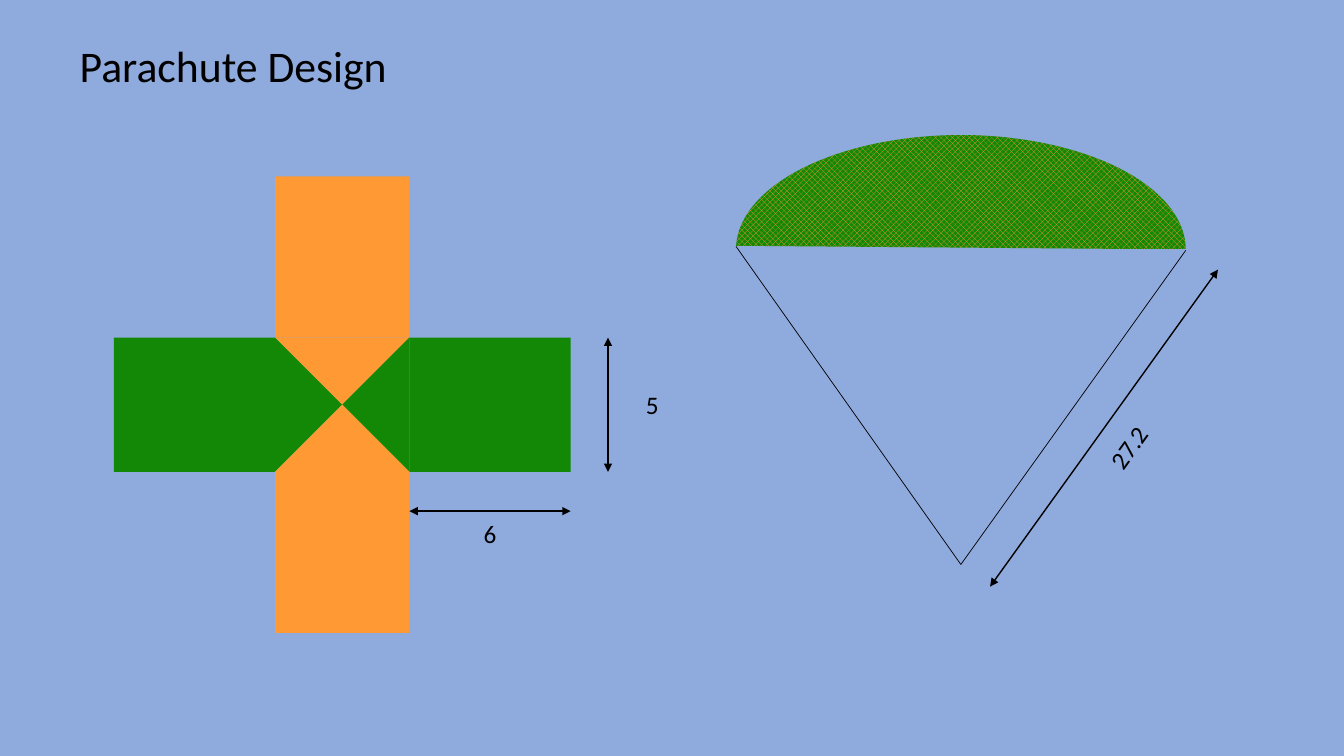
import pptx
import pptx.dml.color
import pptx.enum.dml
import pptx.enum.shapes
import pptx.enum.text
import pptx.oxml
import pptx.util

Inches = pptx.util.Inches
RGBColor = pptx.dml.color.RGBColor
MSO_SHAPE = pptx.enum.shapes.MSO_SHAPE
PP_ALIGN = pptx.enum.text.PP_ALIGN
MSO_ANCHOR = pptx.enum.text.MSO_ANCHOR

SKY = RGBColor(0x8F, 0xAA, 0xDC)
GREEN = RGBColor(0x12, 0x88, 0x06)
ORANGE = RGBColor(0xFE, 0x99, 0x33)
BLACK = RGBColor(0, 0, 0)
FONT = "Calibri"


def set_attrs(obj, fmt):
    """Set every attribute named in fmt on obj."""
    for name, value in fmt.items():
        setattr(obj, name, value)


def set_text(sp, text, size, frame_fmt, par_fmt):
    """Write one formatted paragraph into a shape."""
    tf = sp.text_frame
    set_attrs(tf, {"word_wrap": True, **frame_fmt})
    p = tf.paragraphs[0]
    set_attrs(p, par_fmt)
    r = p.add_run()
    r.text = text
    set_attrs(r.font, {"name": FONT, "size": pptx.util.Pt(size)})
    r.font.color.rgb = BLACK


def add_centred(shapes, kind, cx, cy, w, h, rotation=0):
    """Add an unlined preset shape around a centre point."""
    sp = shapes.add_shape(kind, Inches(cx - w / 2), Inches(cy - h / 2), Inches(w), Inches(h))
    sp.rotation = rotation
    sp.shadow.inherit = False
    sp.line.fill.background()
    return sp


def add_panel(shapes, kind, cx, cy, w, h, color, rotation=0):
    """Add a solid fabric panel."""
    sp = add_centred(shapes, kind, cx, cy, w, h, rotation)
    sp.fill.solid()
    sp.fill.fore_color.rgb = color


def add_line(shapes, start, end, width, arrows=False):
    """Add a straight black line, optionally with arrowheads at both ends."""
    points = [Inches(v) for v in (*start, *end)]
    cn = shapes.add_connector(pptx.enum.shapes.MSO_CONNECTOR.STRAIGHT, *points)
    cn.line.color.rgb = BLACK
    cn.line.width = pptx.util.Pt(width)
    if arrows:
        ln = cn.line._get_or_add_ln()
        for tag in ("a:headEnd", "a:tailEnd"):
            end_mark = pptx.oxml.xmlchemy.OxmlElement(tag)
            end_mark.set("type", "triangle")
            ln.append(end_mark)
    cn._element.spPr.append(pptx.oxml.xmlchemy.OxmlElement("a:effectLst"))


def add_dimension(shapes, start, end, text, label_at, rotation=0):
    """Add a double-headed dimension arrow and its centred label."""
    add_line(shapes, start, end, 1, arrows=True)
    w, h = 0.72, 0.4
    cx, cy = label_at
    sp = shapes.add_textbox(Inches(cx - w / 2), Inches(cy - h / 2), Inches(w), Inches(h))
    sp.rotation = rotation
    set_text(sp, text, 18, {"vertical_anchor": MSO_ANCHOR.MIDDLE}, {"alignment": PP_ALIGN.CENTER})


def add_title(s, x, y, w, h, text):
    """Place and format the slide title."""
    sp = s.shapes.title
    set_attrs(sp, {"left": Inches(x), "top": Inches(y), "width": Inches(w), "height": Inches(h)})
    frame_fmt = {"vertical_anchor": MSO_ANCHOR.TOP, "auto_size": pptx.enum.text.MSO_AUTO_SIZE.NONE}
    set_text(sp, text, 31.2, frame_fmt, {"alignment": PP_ALIGN.LEFT, "line_spacing": 0.9})


def add_cross(s, x, y, size):
    """Draw the flat cross of four arms, 5 units wide and 6 units long."""
    shapes = s.shapes.add_group_shape().shapes
    unit = size / 17
    wide, arm = 5 * unit, 6 * unit
    cx, cy = x + size / 2, y + size / 2
    reach = (wide + arm) / 2
    arms = [(-1, 0, GREEN, 90), (0, -1, ORANGE, 180), (1, 0, GREEN, 270), (0, 1, ORANGE, 0)]
    for dx, dy, color, rotation in arms:
        w, h = (arm, wide) if dx else (wide, arm)
        add_panel(shapes, MSO_SHAPE.RECTANGLE, cx + dx * reach, cy + dy * reach, w, h, color)
        add_panel(shapes, MSO_SHAPE.ISOSCELES_TRIANGLE, cx + dx * wide / 4, cy + dy * wide / 4,
                  wide, wide / 2, color, rotation)
    right, bottom = x + size, cy + wide / 2
    width_x, length_y = right + 0.37, bottom + 0.39
    add_dimension(shapes, (width_x, cy - wide / 2), (width_x, bottom), "5", (right + 0.81, cy))
    add_dimension(shapes, (right, length_y), (right - arm, length_y), "6",
                  (right - arm / 2, length_y + 0.22))


def add_parachute(s, x, y, w, h):
    """Draw the open canopy with its two cords and the cord length."""
    shapes = s.shapes.add_group_shape().shapes
    depth = 2.27
    cx, rim, foot = x + w / 2, y + depth / 2, y + h
    add_dimension(shapes, (x + w + 0.32, rim + 0.2), (cx + 0.29, foot + 0.22), "27.2",
                  (cx + 1.66, rim + 1.96), 305.7)
    canopy = add_centred(shapes, MSO_SHAPE.CHORD, cx, rim, depth, w, 90)
    canopy.adjustments[0], canopy.adjustments[1] = 54.56, 162
    canopy.fill.patterned()
    canopy.fill.pattern = pptx.enum.dml.MSO_PATTERN.SOLID_DIAMOND
    canopy.fill.fore_color.rgb = ORANGE
    canopy.fill.back_color.rgb = GREEN
    for start in ((x, rim - 0.03), (x + w, rim + 0.01)):
        add_line(shapes, start, (cx, foot), 0.5)


def build_slide(prs):
    """Build the parachute design slide."""
    s = prs.slides.add_slide(prs.slide_layouts[5])
    s.background.fill.solid()
    s.background.fill.fore_color.rgb = SKY
    add_cross(s, 1.13, 1.75, 4.53)
    add_title(s, 0.69, 0.39, 3.29, 0.98, "Parachute Design")
    add_parachute(s, 7.3, 1.34, 4.46, 4.26)


prs = pptx.Presentation()
set_attrs(prs, {"slide_width": Inches(13.33), "slide_height": Inches(7.5)})
build_slide(prs)
prs.save("out.pptx")
